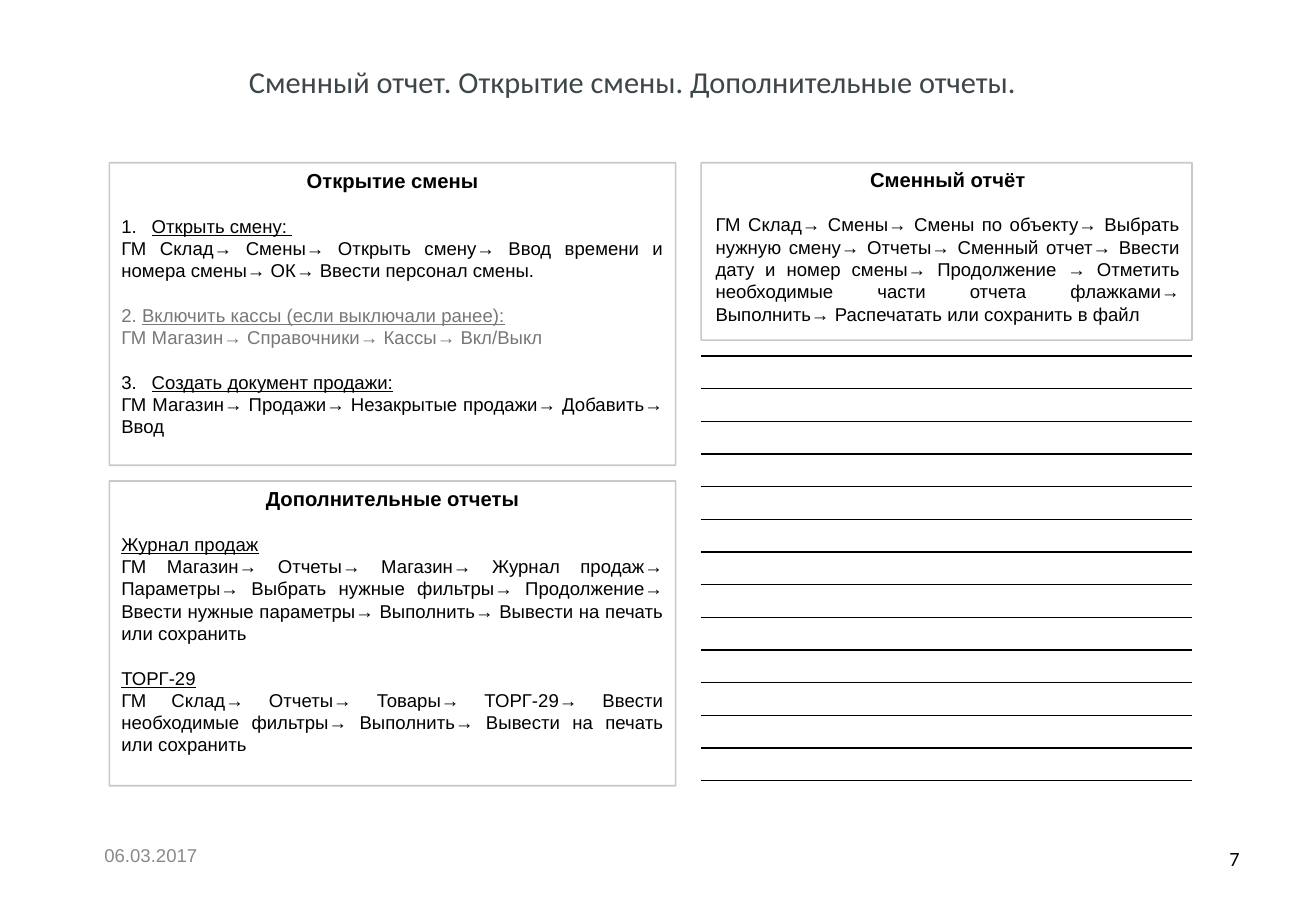
from dataclasses import dataclass
from lxml.etree import SubElement as Sub
from pptx import Presentation
from pptx.dml.color import RGBColor as Rgb
from pptx.enum.shapes import MSO_SHAPE as Shape
from pptx.enum.text import MSO_ANCHOR as Anchor, PP_ALIGN as Align
from pptx.oxml.ns import qn
from pptx.util import Inches, Pt


@dataclass(frozen=True)
class Theme:
    sans: str = "Arial"
    head: str = "Calibri"
    ink: str = "000000"
    mute: str = "777777"
    date: str = "898989"
    title: str = "3D464A"
    edge: str = "A6A6A6"
    body: int = 11
    cap: int = 12
    top: int = 18
    lead: float = 13.2
    tall: float = 14


@dataclass(frozen=True)
class Box:
    """Left, top, width and height as percent of the slide."""
    x: float
    y: float
    w: float
    h: float

    def emu(self) -> tuple[int, int, int, int]:
        return (int(WIDE * self.x / 100), int(HIGH * self.y / 100),
                int(WIDE * self.w / 100), int(HIGH * self.h / 100))


@dataclass(frozen=True)
class Step:
    head: str
    text: str
    mark: str = ""
    auto: bool = False
    tint: str = Theme.ink


@dataclass(frozen=True)
class Panel:
    name: str
    area: Box
    frame: Box
    steps: tuple[Step, ...]


@dataclass(frozen=True)
class Label:
    text: str
    area: Box
    font: str
    size: int
    tint: str
    align: Align = Align.LEFT


WIDE, HIGH = Inches(10.83), Inches(7.5)
THEME = Theme()
ROWS = 13
NOTES = Box(53.28, 39.07, 37.3, 46.67)
HANG = Inches(0.25)

LABELS = (
    Label("06.03.2017", Box(7.02, 91.2, 23.36, 5.33),
          THEME.sans, THEME.body, THEME.date),
    Label("7", Box(91.97, 91.6, 3.14, 5.33),
          THEME.head, THEME.cap, THEME.ink, Align.RIGHT),
    Label("Сменный отчет. Открытие смены. Дополнительные отчеты.",
          Box(18.01, 4.8, 70.36, 8.27), THEME.head, THEME.top, THEME.title),
)

PANELS = (
    Panel("Сменный отчёт", Box(53.46, 17.73, 37.12, 23.73),
          Box(53.28, 17.87, 37.3, 19.47), (
        Step("", "ГМ Склад→ Смены→ Смены по объекту→ Выбрать нужную смену→ "
             "Отчеты→ Сменный отчет→ Ввести дату и номер смены→ Продолжение → "
             "Отметить необходимые части отчета флажками→ Выполнить→ "
             "Распечатать или сохранить в файл"),
    )),
    Panel("Открытие смены", Box(8.31, 17.87, 43.03, 35.07),
          Box(8.31, 17.87, 43.03, 33.2), (
        Step("Открыть смену: ", "ГМ Склад→ Смены→ Открыть смену→ Ввод времени "
             "и номера смены→ ОК→ Ввести персонал смены.", auto=True),
        Step("Включить кассы (если выключали ранее):",
             "ГМ Магазин→ Справочники→ Кассы→ Вкл/Выкл", "2. ",
             tint=THEME.mute),
        Step("Создать документ продажи:", "ГМ Магазин→ Продажи→ "
             "Незакрытые продажи→ Добавить→ Ввод", "3.\t"),
    )),
    Panel("Дополнительные отчеты", Box(8.31, 52.8, 43.03, 33.47),
          Box(8.31, 52.8, 43.03, 33.47), (
        Step("Журнал продаж", "ГМ Магазин→ Отчеты→ Магазин→ Журнал продаж→ "
             "Параметры→ Выбрать нужные фильтры→ Продолжение→ Ввести нужные "
             "параметры→ Выполнить→ Вывести на печать или сохранить"),
        Step("ТОРГ-29", "ГМ Склад→ Отчеты→ Товары→ ТОРГ-29→ Ввести "
             "необходимые фильтры→ Выполнить→ Вывести на печать или сохранить"),
    )),
)


def style(para, font: str, size: int, tint: str, align: Align) -> None:
    para.alignment = align
    para.font.name, para.font.size = font, Pt(size)
    para.font.color.rgb = Rgb.from_string(tint)


def frame_text(slide, area: Box):
    frame = slide.shapes.add_textbox(*area.emu()).text_frame
    frame.word_wrap = True
    return frame


def draw_label(slide, label: Label) -> None:
    frame = frame_text(slide, label.area)
    frame.vertical_anchor = Anchor.MIDDLE
    para = frame.paragraphs[0]
    para.text = label.text
    style(para, label.font, label.size, label.tint, label.align)


def add_line(frame, tint: str, gap: bool):
    para = frame.add_paragraph()
    para.line_spacing = Pt(THEME.lead)
    para.space_before = Pt(THEME.lead if gap else 0)
    return para


def add_step(frame, step: Step) -> None:
    # Underlined heading with its number
    if step.head:
        para = add_line(frame, step.tint, True)
        props = para._p.get_or_add_pPr()
        if step.auto:
            props.set("marL", str(HANG))
            props.set("indent", str(-HANG))
            Sub(props, qn("a:buFont"), typeface="+mj-lt")
            Sub(props, qn("a:buAutoNum"), type="arabicPeriod")
        if step.mark:
            tabs = Sub(props, qn("a:tabLst"))
            Sub(tabs, qn("a:tab"), pos=str(HANG), algn="l")
            para.add_run().text = step.mark
        run = para.add_run()
        run.text, run.font.underline = step.head, True
        style(para, THEME.sans, THEME.body, step.tint, Align.JUSTIFY)
    # Path through the menus
    para = add_line(frame, step.tint, not step.head)
    para.text = step.text
    style(para, THEME.sans, THEME.body, step.tint, Align.JUSTIFY)


def draw_panel(slide, panel: Panel) -> None:
    frame = frame_text(slide, panel.area)
    para = frame.paragraphs[0]
    para.text, para.line_spacing = panel.name, Pt(THEME.tall)
    style(para, THEME.sans, THEME.cap, THEME.ink, Align.CENTER)
    para.font.bold = True
    for step in panel.steps:
        add_step(frame, step)


def draw_frame(slide, area: Box) -> None:
    rect = slide.shapes.add_shape(Shape.RECTANGLE, *area.emu())
    rect.shadow.inherit = False
    rect.fill.background()
    rect.line.width = Pt(1)
    rect.line.color.rgb = Rgb.from_string(THEME.edge)
    tone = rect.line._ln.find(".//" + qn("a:srgbClr"))
    Sub(tone, qn("a:alpha"), val="60000")


def draw_notes(slide, area: Box) -> None:
    table = slide.shapes.add_table(ROWS, 1, *area.emu()).table
    table.first_row = table.horz_banding = False
    for cell in table.iter_cells():
        cell.margin_top = cell.margin_bottom = 0
        Sub(cell.text_frame.paragraphs[0]._p, qn("a:endParaRPr"), sz="800")
        props = cell._tc.get_or_add_tcPr()
        for side in "LRTB":
            line = Sub(props, qn(f"a:ln{side}"), w=str(Pt(1)))
            if side in "LR":
                Sub(line, qn("a:noFill"))
            else:
                fill = Sub(line, qn("a:solidFill"))
                Sub(fill, qn("a:srgbClr"), val=THEME.ink)
        cell.fill.background()


def main() -> None:
    deck = Presentation()
    deck.slide_width, deck.slide_height = WIDE, HIGH
    slide = deck.slides.add_slide(deck.slide_layouts[6])
    for label in LABELS:
        draw_label(slide, label)
    for panel in PANELS:
        draw_panel(slide, panel)
    # Ruled lines for notes
    draw_notes(slide, NOTES)
    for panel in PANELS:
        draw_frame(slide, panel.frame)
    deck.save("out.pptx")


if __name__ == "__main__":
    main()
